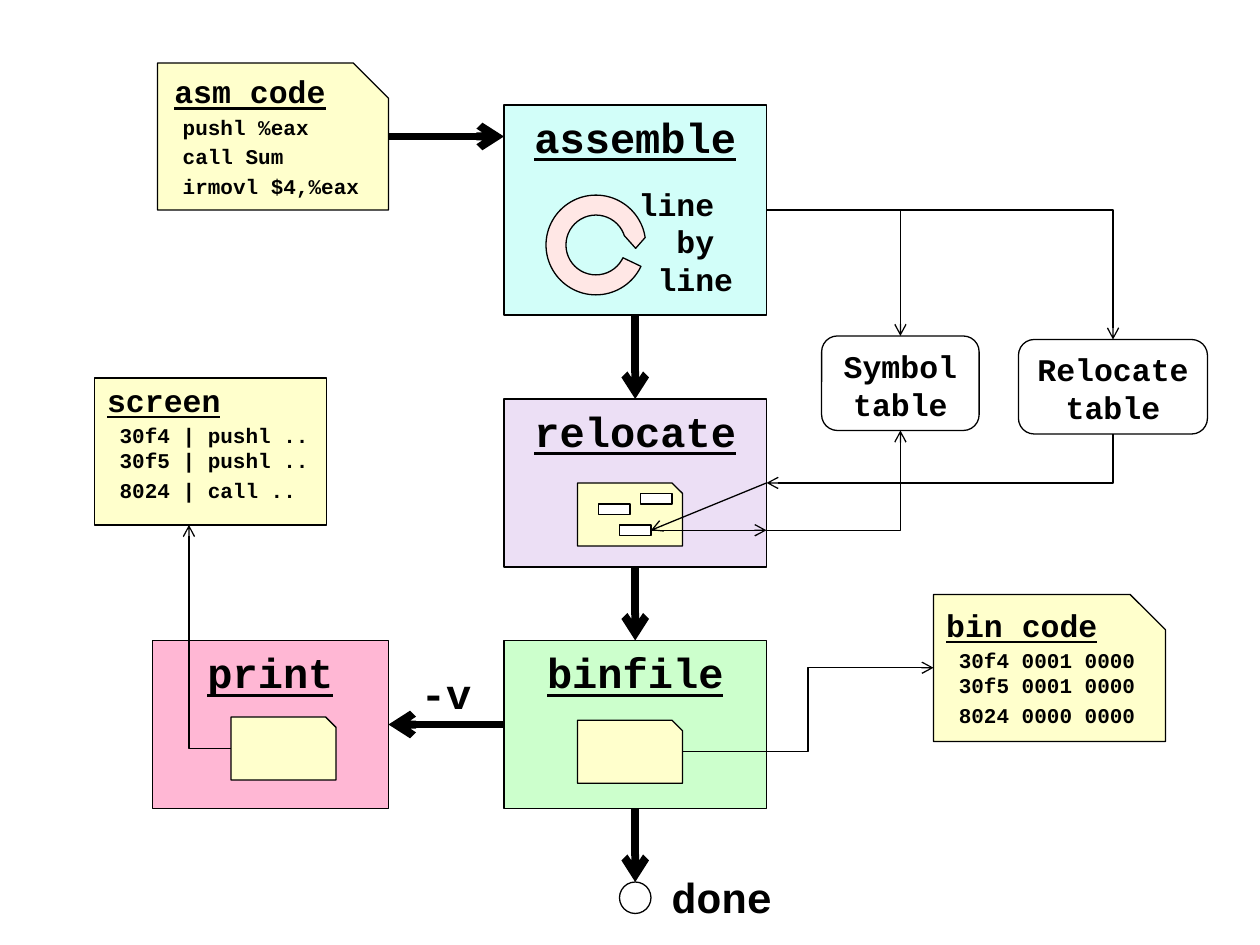
from lxml.etree import SubElement
from pptx import Presentation
from pptx.dml.color import RGBColor
from pptx.enum.shapes import MSO_CONNECTOR as CONN, MSO_SHAPE as SHAPE
from pptx.enum.text import MSO_ANCHOR as ANCHOR, PP_ALIGN as ALIGN
from pptx.oxml.ns import qn
from pptx.util import Pt

THEME = {
    "font": "Courier New", "ink": "000000", "paper": "FFFFCC", "slot": "FFFFFF",
    "assemble": "D2FEF9", "relocate": "ECDFF5", "binfile": "CCFFCC",
    "print": "FFB7D4", "loop": "FFE7E5",
    "title": 24, "label": 18, "code": 12, "thin": 0.75, "thick": 4.5,
}
AXIS = 363

STAGES = [
    ("assemble", (288, 60, 150, 120)),
    ("relocate", (288, 228, 150, 96)),
    ("binfile", (288, 366, 150, 96)),
    ("print", (87, 366, 135, 96)),
]
TABLES = [
    ("Symbol table", (469.5, 192, 90, 54)),
    ("Relocate\vtable", (582, 194, 108, 54)),
]
LISTINGS = [
    ("asm code", ["pushl %eax", "call Sum", "irmovl $4,%eax"],
     (90, 36, 132, 84), SHAPE.SNIP_1_RECTANGLE, 9.6),
    ("bin code", ["30f4 0001 0000\v30f5 0001 0000", "8024 0000 0000"],
     (533.5, 339.7, 132.5, 84), SHAPE.SNIP_1_RECTANGLE, 7.2),
    ("screen", ["30f4 | pushl ..\v30f5 | pushl ..", "8024 | call .."],
     (54, 216, 132.5, 84), SHAPE.RECTANGLE, 7.2),
]
CODE_INDENT = 14.4
PAGES = [(330, 276), (330, 411.6), (132, 409.7)]
SLOTS = [(366, 282), (342, 288), (354, 300)]
NOTES = [
    ("line \vby \vline", (348, 102, 78, 73), "label", ALIGN.RIGHT, True),
    ("-v", (233.5, 378, 44, 36), "title", ALIGN.LEFT, False),
    ("done", (376.5, 494.5, 73, 36), "title", ALIGN.LEFT, False),
]
FLOWS = [
    (222, 78, 288, 78),
    (AXIS, 180, AXIS, 228),
    (AXIS, 324, AXIS, 366),
    (AXIS, 462, AXIS, 504),
    (288, 414, 222, 414),
]
LOOKUPS = [(438, 276, 372, 303), (372, 303, 438, 303)]
CORNERS = [
    ((438, 120, 514.5, 192), "tailEnd"),
    ((438, 120, 636, 194), "tailEnd"),
    ((438, 303, 514.5, 246), "tailEnd"),
    ((438, 276, 636, 248), "headEnd"),
    ((132, 427.7, 108, 300), "tailEnd"),
]
STEP = (390, 429.6, 533.5, 381.6)


def rgb(name):
    return RGBColor.from_string(THEME[name])


def add_shape(slide, kind, box, fill=None):
    s = slide.shapes.add_shape(kind, *map(Pt, box))
    s.shadow.inherit = False
    if fill:
        s.fill.solid()
        s.fill.fore_color.rgb = rgb(fill)
    else:
        s.fill.background()
    s.line.color.rgb = rgb("ink")
    s.line.width = Pt(THEME["thin"])
    s.text_frame.vertical_anchor = ANCHOR.TOP
    return s


def write(p, text, size, align, underline=False):
    p.text = text
    p.alignment = align
    p.space_before = Pt(0.2 * THEME[size])
    p.font.name = THEME["font"]
    p.font.size = Pt(THEME[size])
    p.font.bold = True
    p.font.underline = underline
    p.font.color.rgb = rgb("ink")


def add_listing(slide, title, lines, box, kind, indent):
    s = add_shape(slide, kind, box, "paper")
    if kind == SHAPE.SNIP_1_RECTANGLE:
        s.adjustments[0] = 0.24
    tf = s.text_frame
    tf.word_wrap = True
    tf.vertical_anchor = ANCHOR.MIDDLE
    tf.margin_left = tf.margin_right = tf.margin_top = 0
    tf.margin_bottom = Pt(11.5)
    write(tf.paragraphs[0], title, "label", ALIGN.LEFT, True)
    tf.paragraphs[0]._p.get_or_add_pPr().set("marL", str(Pt(indent)))
    for line in lines:
        p = tf.add_paragraph()
        write(p, line, "code", ALIGN.LEFT)
        p._p.get_or_add_pPr().set("marL", str(Pt(CODE_INDENT)))


def add_arrow(slide, ends, weight="thin", kind=CONN.STRAIGHT, end="tailEnd"):
    c = slide.shapes.add_connector(kind, *map(Pt, ends))
    c.line.color.rgb = rgb("ink")
    c.line.width = Pt(THEME[weight])
    SubElement(c.line._get_or_add_ln(), qn("a:" + end), type="arrow")
    SubElement(c._element.spPr, qn("a:effectLst"))
    return c


def add_corner(slide, ends, end):
    c = add_arrow(slide, ends, kind=CONN.ELBOW, end=end)
    c._element.spPr.find(qn("a:prstGeom")).set("prst", "bentConnector2")


def main():
    prs = Presentation()
    prs.slide_width, prs.slide_height = Pt(720), Pt(540)
    slide = prs.slides.add_slide(prs.slide_layouts[6])

    for name, box in STAGES:
        s = add_shape(slide, SHAPE.RECTANGLE, box, name)
        write(s.text_frame.paragraphs[0], name, "title", ALIGN.CENTER, True)
    for name, box in TABLES:
        s = add_shape(slide, SHAPE.ROUNDED_RECTANGLE, box)
        s.text_frame.word_wrap = True
        write(s.text_frame.paragraphs[0], name, "label", ALIGN.CENTER)
    for listing in LISTINGS:
        add_listing(slide, *listing)
    for x, y in PAGES:
        add_shape(slide, SHAPE.SNIP_1_RECTANGLE, (x, y, 60, 36), "paper")
    for x, y in SLOTS:
        add_shape(slide, SHAPE.RECTANGLE, (x, y, 18, 6), "slot")

    loop = add_shape(slide, SHAPE.CIRCULAR_ARROW, (312, 111.5, 57, 57), "loop")
    for i, value in enumerate((0.2, 10.19, 208.72, 15.21, 0.1)):
        loop.adjustments[i] = value
    add_shape(slide, SHAPE.OVAL, (AXIS - 9, 504, 18, 18))

    for text, box, size, align, wrap in NOTES:
        tf = slide.shapes.add_textbox(*map(Pt, box)).text_frame
        tf.word_wrap = wrap
        write(tf.paragraphs[0], text, size, align)

    for ends in FLOWS:
        add_arrow(slide, ends, "thick")
    for ends in LOOKUPS:
        add_arrow(slide, ends)
    for ends, end in CORNERS:
        add_corner(slide, ends, end)
    add_arrow(slide, STEP, kind=CONN.ELBOW)

    prs.save("out.pptx")


if __name__ == "__main__":
    main()
